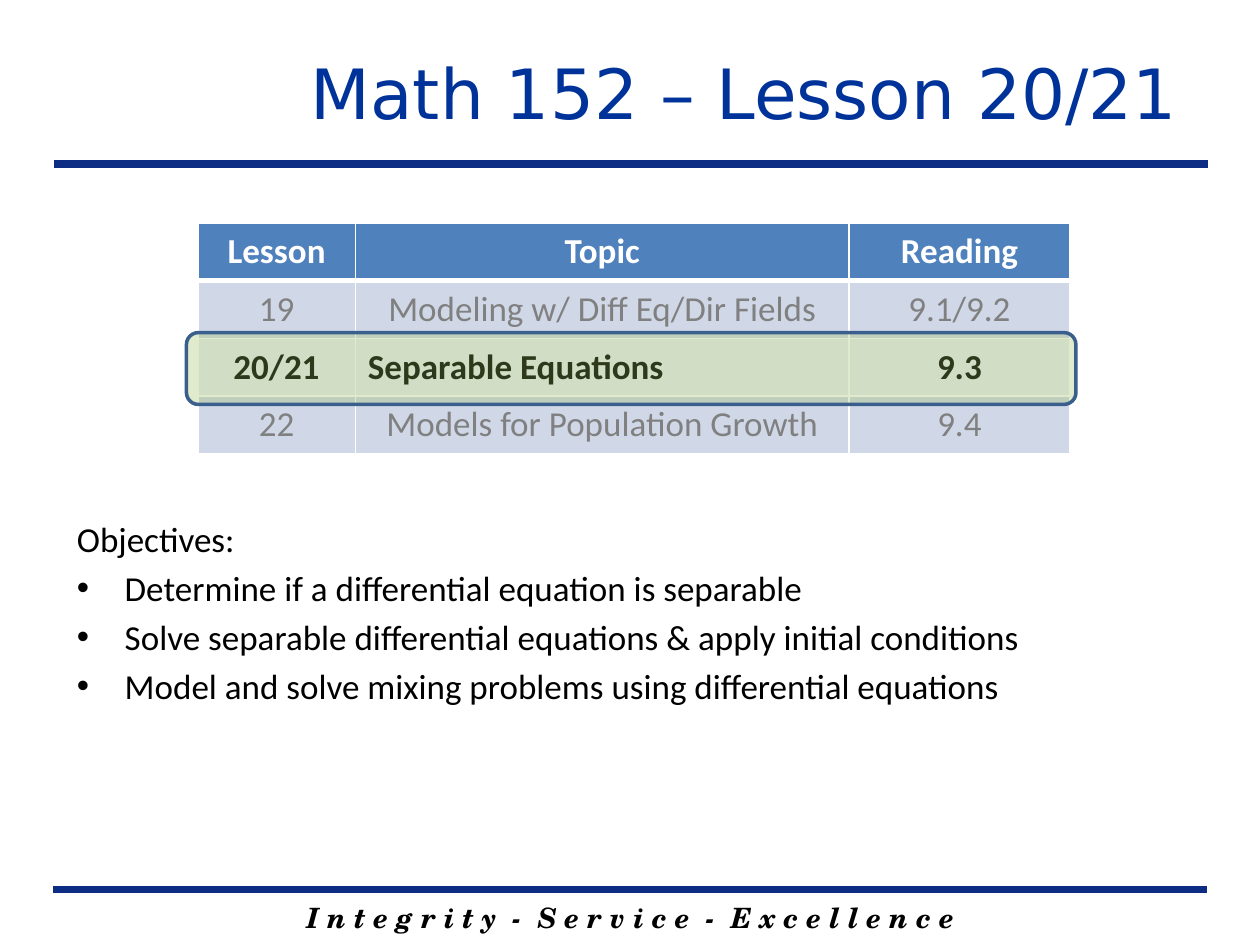
from lxml import etree
from pptx import Presentation
from pptx.dml.color import RGBColor
from pptx.enum.shapes import MSO_CONNECTOR, MSO_SHAPE
from pptx.enum.text import MSO_ANCHOR, MSO_AUTO_SIZE, PP_ALIGN
from pptx.oxml.ns import qn
from pptx.util import Inches, Pt

LEFT, CENTER, RIGHT = PP_ALIGN.LEFT, PP_ALIGN.CENTER, PP_ALIGN.RIGHT
MIDDLE, TOP = MSO_ANCHOR.MIDDLE, MSO_ANCHOR.TOP
COLORS = {
    "title": "003399", "rule": "0C2D83", "text": "000000", "muted": "808080",
    "white": "FFFFFF", "header": "4F81BD", "band": "D0D8E8", "current": "E9EDF4",
    "highlight": "9BBB59", "outline": "3A5F8C",
}
FORMATS = {
    "title": {"name": "DejaVu Sans", "size": Pt(39.6), "bold": False},
    "motto": {"name": "TeX Gyre Schola", "size": Pt(16), "bold": True, "italic": True},
    "strong": {"name": "Calibri", "size": Pt(20), "bold": True},
    "plain": {"name": "Calibri", "size": Pt(20), "bold": False},
}
LESSONS = [
    ("Lesson", "Topic", "Reading"),
    ("19", "Modeling w/ Diff Eq/Dir Fields", "9.1/9.2"),
    ("20/21", "Separable Equations", "9.3"),
    ("22", "Models for Population Growth", "9.4"),
]
CURRENT_ROW = 2
# Row look: fill, text colour, text format
HEADER_LOOK = ("header", "white", "strong")
CURRENT_LOOK = ("current", "text", "strong")
OTHER_LOOK = ("band", "muted", "plain")
OBJECTIVES = [
    "Determine if a differential equation is separable",
    "Solve separable differential equations & apply initial conditions",
    "Model and solve mixing problems using differential equations",
]


def color(name):
    return RGBColor.from_string(COLORS[name])


def place(shape, box):
    for side, length in zip(("left", "top", "width", "height"), box):
        setattr(shape, side, Inches(length))


def write(paragraph, text, format_name, color_name, alignment=LEFT):
    paragraph.alignment = alignment
    run = paragraph.add_run()
    run.text = text
    for attribute, value in FORMATS[format_name].items():
        setattr(run.font, attribute, value)
    run.font.color.rgb = color(color_name)


def set_frame(frame, anchor):
    frame.word_wrap = True
    frame.auto_size = MSO_AUTO_SIZE.NONE
    frame.vertical_anchor = anchor


def add_rule(slide, left, top, width):
    connector = slide.shapes.add_connector(
        MSO_CONNECTOR.STRAIGHT, Inches(left), Inches(top), Inches(left + width), Inches(top))
    connector.line.color.rgb = color("rule")
    connector.line.width = Pt(4.5)
    etree.SubElement(connector._element.spPr, qn("a:effectLst"))


def add_title(slide, box):
    title = slide.shapes.title
    place(title, box)
    set_frame(title.text_frame, MIDDLE)
    write(title.text_frame.paragraphs[0], "Math 152 – Lesson 20/21 ", "title", "title", RIGHT)


def add_motto(slide, box):
    motto = slide.shapes.add_textbox(*map(Inches, box))
    set_frame(motto.text_frame, TOP)
    write(motto.text_frame.paragraphs[0],
          "I n t e g r i t y  -  S e r v i c e  -  E x c e l l e n c e", "motto", "text", CENTER)


def set_borders(cell, row):
    """White borders, heavier between the header and the first lesson."""
    widths = {"a:lnL": 1, "a:lnR": 1, "a:lnT": 3 if row == 1 else 1, "a:lnB": 3 if row == 0 else 1}
    properties = cell._tc.get_or_add_tcPr()
    for tag, width in widths.items():
        line = etree.SubElement(properties, qn(tag), w=str(Pt(width)))
        fill = etree.SubElement(line, qn("a:solidFill"))
        etree.SubElement(fill, qn("a:srgbClr"), val=COLORS["white"])


def add_lessons(slide, box, column_widths):
    frame = slide.shapes.add_table(len(LESSONS), len(column_widths), *map(Inches, box))
    table = frame.table
    for column, width in zip(table.columns, column_widths):
        column.width = Inches(width)
    looks = {0: HEADER_LOOK, CURRENT_ROW: CURRENT_LOOK}
    for row, values in enumerate(LESSONS):
        fill, text_color, format_name = looks.get(row, OTHER_LOOK)
        for column, value in enumerate(values):
            cell = table.cell(row, column)
            set_borders(cell, row)
            cell.fill.solid()
            cell.fill.fore_color.rgb = color(fill)
            cell.vertical_anchor = MIDDLE
            alignment = LEFT if (row, column) == (CURRENT_ROW, 1) else CENTER
            write(cell.text_frame.paragraphs[0], value, format_name, text_color, alignment)


def add_highlight(slide, box):
    highlight = slide.shapes.add_shape(MSO_SHAPE.ROUNDED_RECTANGLE, *map(Inches, box))
    highlight.shadow.inherit = False
    highlight.fill.solid()
    highlight.fill.fore_color.rgb = color("highlight")
    fill_color = highlight._element.spPr.find(qn("a:solidFill"))[0]
    etree.SubElement(fill_color, qn("a:alpha"), val="30000")
    highlight.line.color.rgb = color("outline")
    highlight.line.width = Pt(2)


def set_bullet(paragraph, indent, character=None):
    properties = paragraph._p.get_or_add_pPr()
    properties.set("marL", str(Inches(indent)))
    properties.set("indent", str(-Inches(indent)))
    if character:
        etree.SubElement(properties, qn("a:buChar"), char=character)
    else:
        etree.SubElement(properties, qn("a:buNone"))


def add_objectives(slide, box):
    body = slide.placeholders[1]
    place(body, box)
    frame = body.text_frame
    set_frame(frame, TOP)
    for index, text in enumerate(["Objectives:"] + OBJECTIVES):
        paragraph = frame.add_paragraph() if index else frame.paragraphs[0]
        paragraph.space_before = Pt(4)
        write(paragraph, text, "plain", "text")
        if index:
            set_bullet(paragraph, 0.38, "•")
        else:
            set_bullet(paragraph, 0)


def main():
    presentation = Presentation()
    presentation.slide_width, presentation.slide_height = Inches(10), Inches(7.5)
    slide = presentation.slides.add_slide(presentation.slide_layouts[1])

    # Footer and rules
    add_motto(slide, (1.42, 7.1, 7.17, 0.37))
    add_rule(slide, 0.42, 7.06, 9.16)
    add_rule(slide, 0.43, 1.3, 9.16)

    # Title, lesson schedule and objectives
    add_title(slide, (2.2, 0.1, 7.42, 1.25))
    add_lessons(slide, (1.57, 1.77, 6.92, 1.83), (1.25, 3.92, 1.75))
    add_highlight(slide, (1.48, 2.64, 7.06, 0.57))
    add_objectives(slide, (0.51, 4.06, 9, 2.84))

    presentation.save("out.pptx")


if __name__ == "__main__":
    main()
